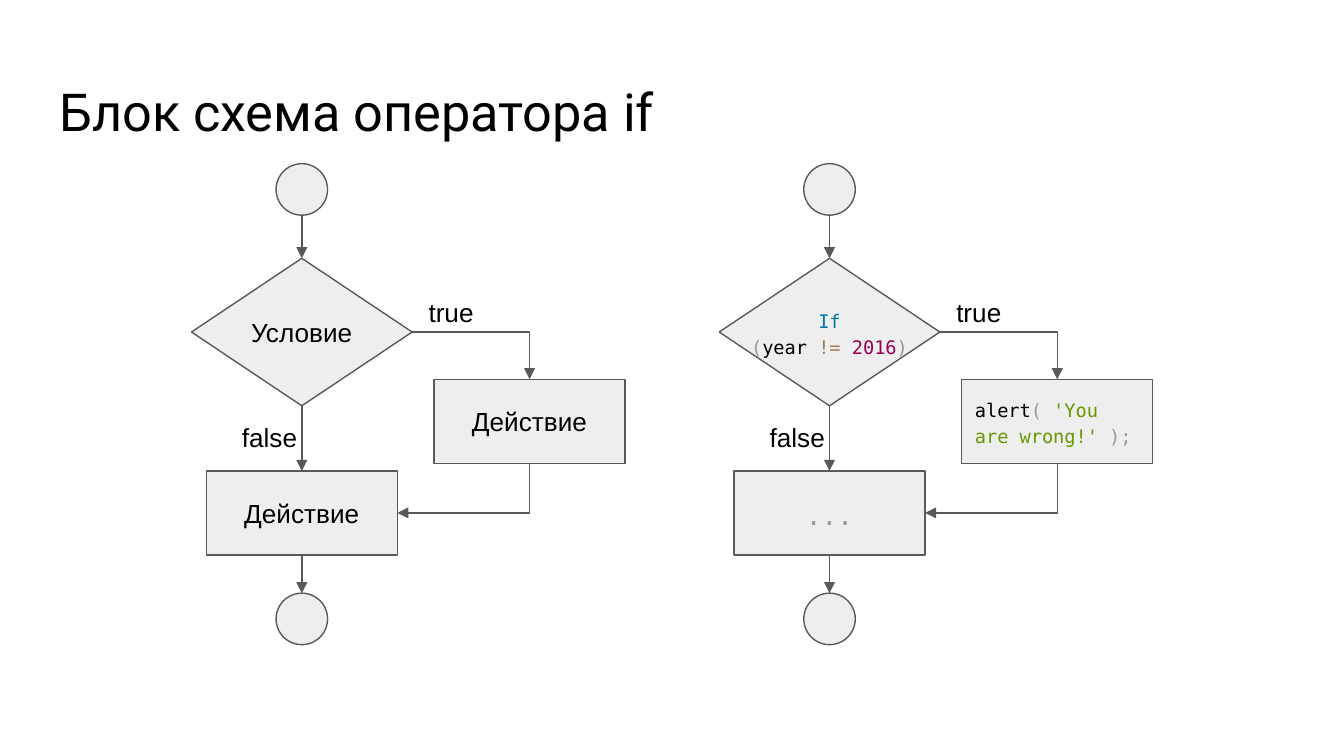
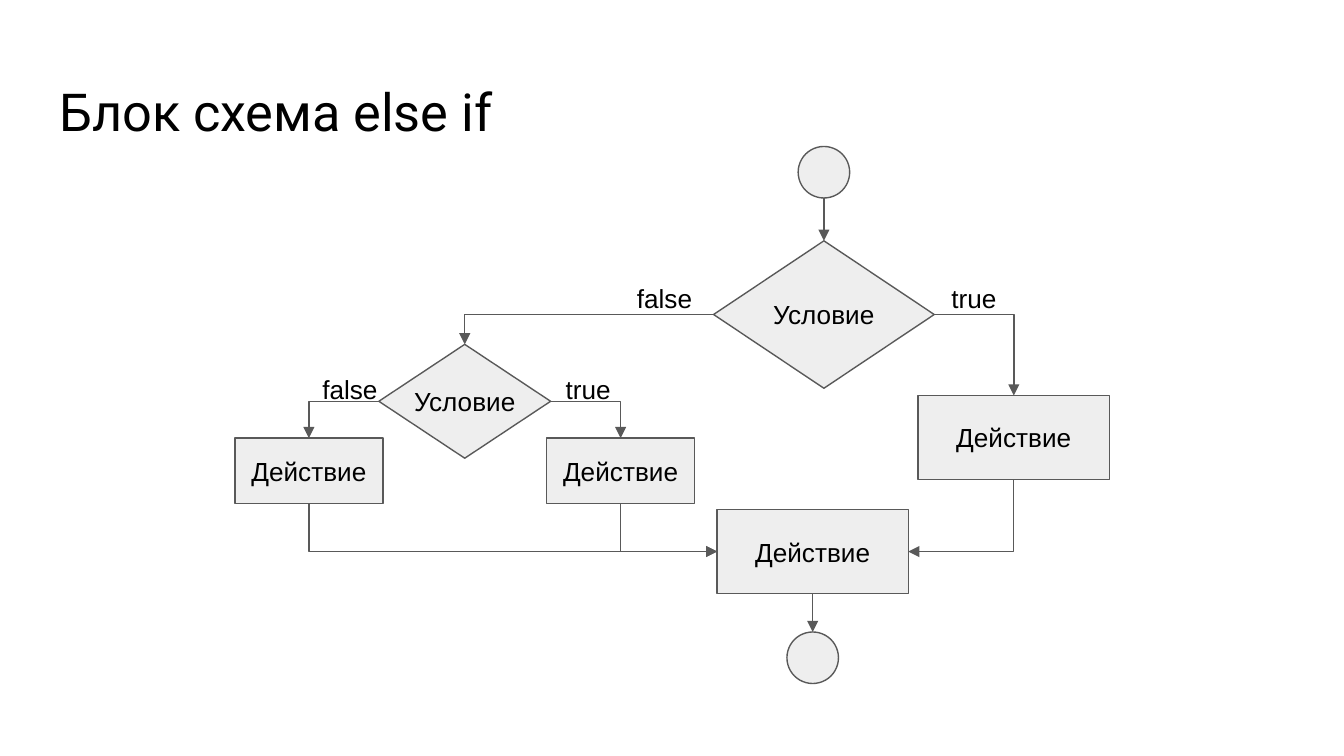
import dataclasses

import lxml.etree
import pptx
import pptx.dml.color
import pptx.enum.shapes
import pptx.enum.text
import pptx.oxml.ns
import pptx.util

Pt = pptx.util.Pt
Shape = pptx.enum.shapes.MSO_SHAPE
Wire = pptx.enum.shapes.MSO_CONNECTOR
Align = pptx.enum.text.PP_ALIGN
Anchor = pptx.enum.text.MSO_ANCHOR
qn = pptx.oxml.ns.qn
rgb = pptx.dml.color.RGBColor.from_string


@dataclasses.dataclass(frozen=True)
class Theme:
    fill: str = "EEEEEE"
    line: str = "595959"
    ink: str = "000000"
    mark: str = "999999"
    key: str = "0077AA"
    sign: str = "A67F59"
    value: str = "990055"
    quote: str = "669900"
    weight: float = 0.75
    # font, size, line spacing
    title: tuple = ("Roboto", 28, 1.0)
    word: tuple = ("Arial", 14, 1.0)
    code: tuple = ("DejaVu Sans Mono", 10, 1.15)
    dots: tuple = ("DejaVu Sans Mono", 14, 1.15)


theme = Theme()
DISC, GATE, STEP = (27.6, 27.6), (118.2, 79), (102.4, 45)
GATE_S, STEP_S = (92, 61), (79.4, 35)
ROW, ROW_S = 28.8, 22.4
YES, NO = 39.6, 45.4
TOP, LEFT, BOTTOM, RIGHT = range(4)


def put(slide, kind, mid, top, size, text=(), style=theme.word, align=Align.CENTER):
    """Add a shape, or a text box if kind is None, centred on x = mid.

    text is a list of paragraphs, each a list of (words, colour) runs.
    """
    wide, high = size
    box = Pt(mid - wide / 2), Pt(top), Pt(wide), Pt(high)
    if kind is None:
        item = slide.shapes.add_textbox(*box)
    else:
        item = slide.shapes.add_shape(kind, *box)
        item.shadow.inherit = False
        item.fill.solid()
        item.fill.fore_color.rgb = rgb(theme.fill)
        item.line.color.rgb = rgb(theme.line)
        item.line.width = Pt(theme.weight)
    frame = item.text_frame
    frame.word_wrap = True
    frame.vertical_anchor = Anchor.MIDDLE
    frame.margin_left = frame.margin_right = Pt(7.2)
    frame.margin_top = frame.margin_bottom = Pt(7.2)
    font, points, space = style
    for i, runs in enumerate(text):
        para = frame.add_paragraph() if i else frame.paragraphs[0]
        para.alignment = align
        para.line_spacing = space
        for words, color in runs:
            run = para.add_run()
            run.text = words
            run.font.name = font
            run.font.size = Pt(points)
            run.font.color.rgb = rgb(color)
    return item


def link(slide, start, out, end, into):
    """Draw an arrow from one side of start to one side of end."""
    (x1, y1), (x2, y2) = [
        (int(s.left + s.width * (0.5, 0, 0.5, 1)[side]),
         int(s.top + s.height * (0, 0.5, 1, 0.5)[side]))
        for s, side in ((start, out), (end, into))]
    bent = out % 2 != into % 2
    wire = slide.shapes.add_connector(
        Wire.ELBOW if bent else Wire.STRAIGHT, x1, y1, x2, y2)
    # A disc has eight joints, of which only the top one shares its number
    for item, side, join in ((start, out, wire.begin_connect),
                             (end, into, wire.end_connect)):
        if item.auto_shape_type != Shape.FLOWCHART_CONNECTOR or side == TOP:
            join(item, side)
    wire.line.color.rgb = rgb(theme.line)
    wire.line.width = Pt(theme.weight)
    props = wire.element.spPr
    lxml.etree.SubElement(props.find(qn("a:ln")), qn("a:tailEnd"), type="triangle")
    lxml.etree.SubElement(props, qn("a:effectLst"))
    if bent:
        # One corner; a path that starts downwards is a turned frame
        down = out == BOTTOM
        wide, high = abs(x2 - x1), abs(y2 - y1)
        if down:
            wide, high = high, wide
        wire.left, wire.top = (x1 + x2 - wide) // 2, (y1 + y2 - high) // 2
        wire.width, wire.height = wide, high
        back = x2 < x1
        frame = props.find(qn("a:xfrm"))
        frame.set("flipH", "1" if back != down else "0")
        if down:
            frame.set("rot", str((90 if back else 270) * 60000))
        props.find(qn("a:prstGeom")).set("prst", "bentConnector2")


deck = pptx.Presentation()
deck.slide_width, deck.slide_height = Pt(720), Pt(405)

pages = []
for name in ("Блок схема оператора if", "Блок схема else if"):
    page = deck.slides.add_slide(deck.slide_layouts[5])
    title = page.shapes.title
    title.left, title.top, title.width, title.height = Pt(24.5), Pt(35), Pt(671), Pt(45.4)
    frame = title.text_frame
    frame.auto_size = pptx.enum.text.MSO_AUTO_SIZE.NONE
    frame.word_wrap = True
    frame.vertical_anchor = Anchor.TOP
    frame.margin_left = frame.margin_right = Pt(7.2)
    frame.margin_top = frame.margin_bottom = Pt(7.2)
    para = frame.paragraphs[0]
    para.alignment = Align.LEFT
    run = para.add_run()
    run.text = name
    run.font.name, points, para.line_spacing = theme.title
    run.font.size = Pt(points)
    run.font.color.rgb = rgb(theme.ink)
    pages.append(page)

test = [[("Условие", theme.ink)]]
deed = [[("Действие", theme.ink)]]
yes = [[("true", theme.ink)]]
no = [[("false", theme.ink)]]
check = [[("If", theme.key)],
         [("(", theme.mark), ("year ", theme.ink), ("!= ", theme.sign),
          ("2016", theme.value), (")", theme.mark)]]
alert = [[("alert", theme.ink), ("( ", theme.mark),
          ("'You are wrong!' ", theme.quote), (");", theme.mark)]]
rest = [[("...", theme.mark)]]

# Slide 1: the scheme in words, then in code
page = pages[0]
charts = (
    (161.7, (test, theme.word), (deed, theme.word, Align.CENTER), (deed, theme.word)),
    (444.4, (check, theme.code), (alert, theme.code, Align.LEFT), (rest, theme.dots)),
)
for mid, ask, act, then in charts:
    start = put(page, Shape.FLOWCHART_CONNECTOR, mid, 87.7, DISC)
    gate = put(page, Shape.FLOWCHART_DECISION, mid, 138.4, GATE)
    side = put(page, Shape.FLOWCHART_PROCESS, mid + 122, 203.2, STEP, *act)
    step = put(page, Shape.FLOWCHART_PROCESS, mid, 252.3, STEP, *then)
    stop = put(page, Shape.FLOWCHART_CONNECTOR, mid, 317.8, DISC)
    put(page, None, mid, 163.5, (STEP[0], ROW), *ask)
    put(page, None, mid + 80.6, 152.6, (YES, ROW), yes, align=Align.LEFT)
    put(page, None, mid - 16.5, 219.6, (NO, ROW), no, align=Align.LEFT)
    link(page, start, BOTTOM, gate, TOP)
    link(page, gate, BOTTOM, step, TOP)
    link(page, step, BOTTOM, stop, TOP)
    link(page, gate, RIGHT, side, TOP)
    link(page, side, BOTTOM, step, RIGHT)

# Slide 2: a second test on the false branch
page = pages[1]
main, sub, last = 441.4, 249, 435.4
start = put(page, Shape.FLOWCHART_CONNECTOR, main, 78.5, DISC)
gate = put(page, Shape.FLOWCHART_DECISION, main, 129, GATE)
side = put(page, Shape.FLOWCHART_PROCESS, 543.1, 211.9, STEP, deed)
step = put(page, Shape.FLOWCHART_PROCESS, last, 273, STEP, deed)
stop = put(page, Shape.FLOWCHART_CONNECTOR, last, 338.6, DISC)
inner = put(page, Shape.FLOWCHART_DECISION, sub, 184.5, GATE_S)
put(page, None, main, 154.1, (STEP[0], ROW), test)
put(page, None, sub, 203.9, (STEP_S[0], ROW_S), test)
for mid, top, wide, high, text in (
        (522.4, 145.4, YES, ROW, yes), (356.8, 145.4, NO, ROW, no),
        (315.7, 197.4, YES, ROW_S, yes), (188.3, 197.4, NO, ROW_S, no)):
    put(page, None, mid, top, (wide, high), text, align=Align.LEFT)
link(page, start, BOTTOM, gate, TOP)
link(page, gate, LEFT, inner, TOP)
link(page, gate, RIGHT, side, TOP)
link(page, side, BOTTOM, step, RIGHT)
link(page, step, BOTTOM, stop, TOP)
for out, shift in ((LEFT, -83.5), (RIGHT, 83.5)):
    leaf = put(page, Shape.FLOWCHART_PROCESS, sub + shift, 234.7, STEP_S, deed)
    link(page, inner, out, leaf, TOP)
    link(page, leaf, BOTTOM, step, LEFT)

deck.save("out.pptx")
